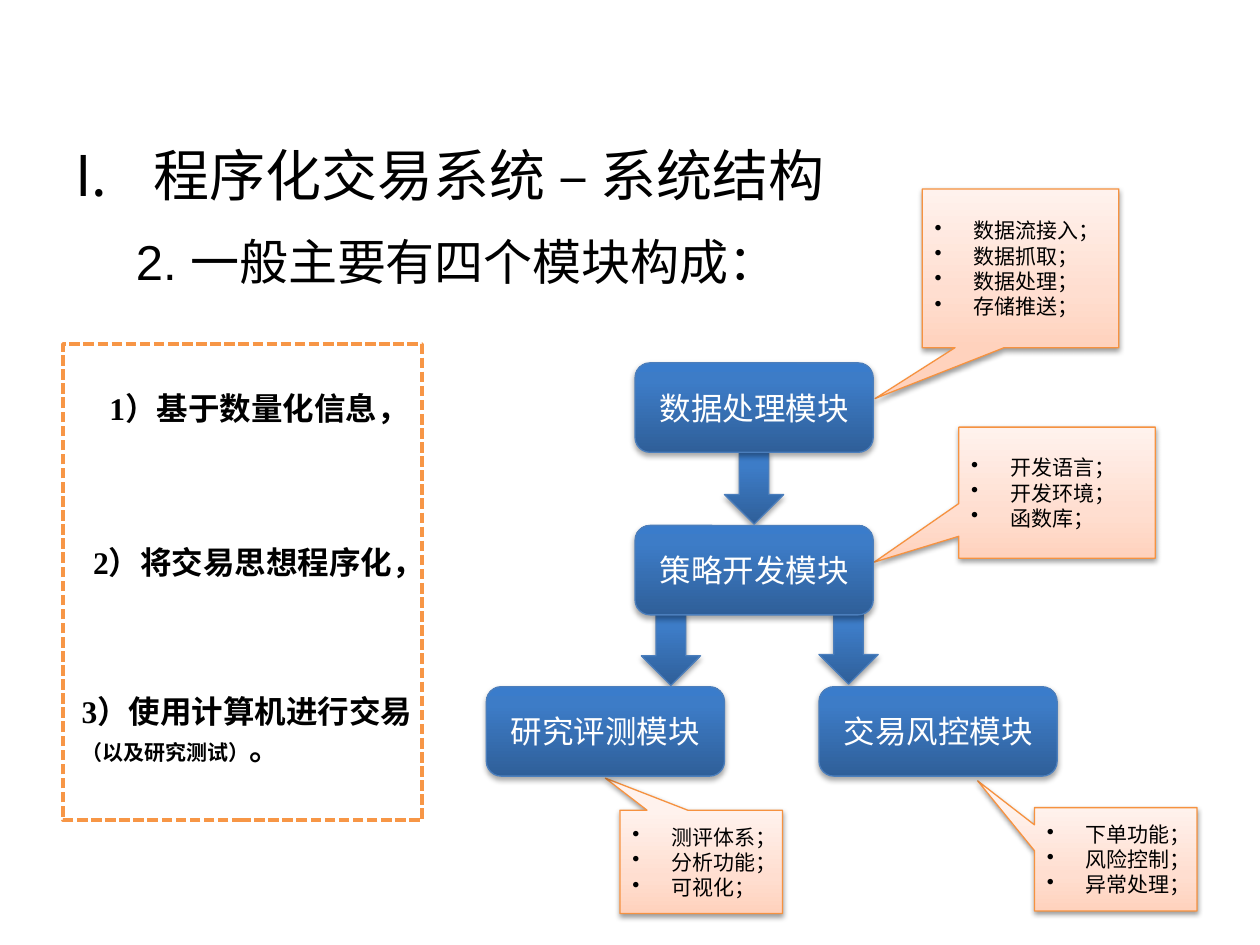
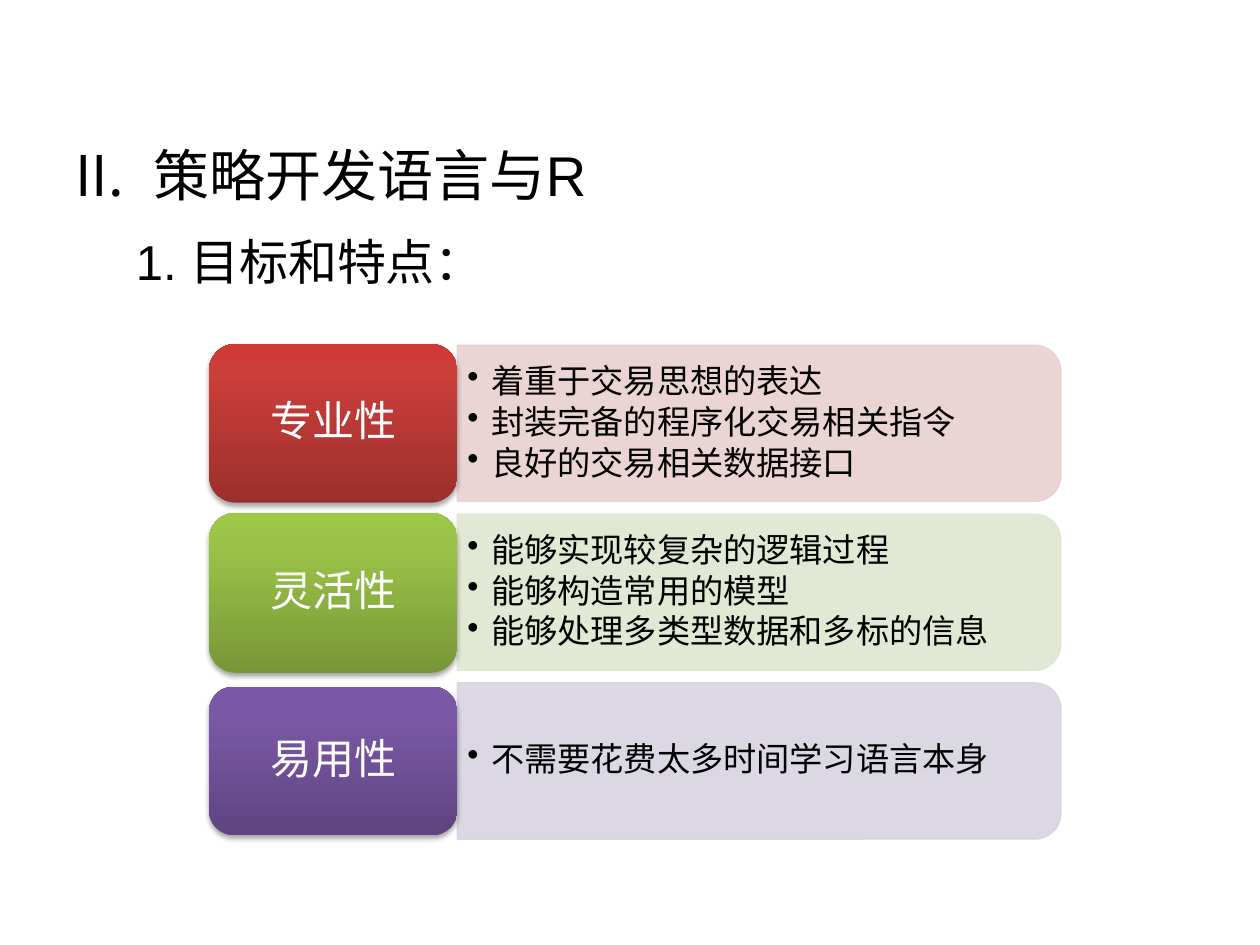
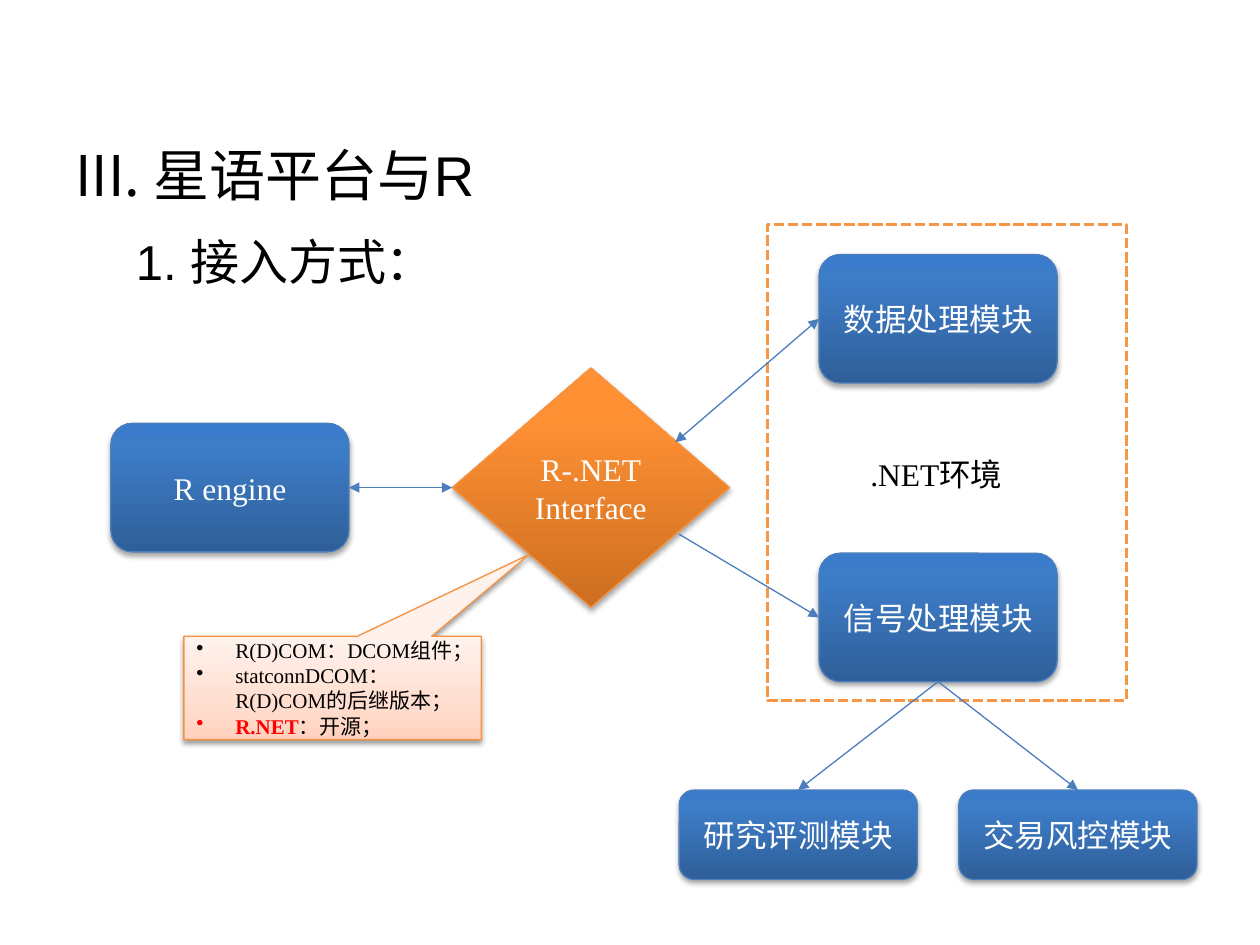
from lxml import etree
from pptx import Presentation
from pptx.dml.color import RGBColor
from pptx.enum.dml import MSO_LINE
from pptx.enum.shapes import MSO_CONNECTOR, MSO_SHAPE
from pptx.enum.text import MSO_ANCHOR, PP_ALIGN
from pptx.oxml.ns import qn
from pptx.util import Inches, Pt

ROUNDED, DIAMOND = MSO_SHAPE.ROUNDED_RECTANGLE, MSO_SHAPE.DIAMOND
RECTANGLE, DOWN_ARROW = MSO_SHAPE.RECTANGLE, MSO_SHAPE.DOWN_ARROW
CALLOUT, TAB = MSO_SHAPE.RECTANGULAR_CALLOUT, MSO_SHAPE.ROUND_2_SAME_RECTANGLE
STRAIGHT, DASHED = MSO_CONNECTOR.STRAIGHT, MSO_LINE.SQUARE_DOT
LEFT, CENTER = PP_ALIGN.LEFT, PP_ALIGN.CENTER
TOP, MIDDLE = MSO_ANCHOR.TOP, MSO_ANCHOR.MIDDLE
SITE_TOP, SITE_LEFT, SITE_BOTTOM, SITE_RIGHT = range(4)

# The slide is a grid of 100 columns by 75 rows
COLUMNS, ROWS = 100, 75
SLIDE_WIDTH, SLIDE_HEIGHT = Inches(10), Inches(7.5)

COLORS = {
    "text": "000000", "light": "FFFFFF", "accent": "FF0000",
    "blue line": "4B7EBC", "orange line": "F69240", "frame": "F79646",
    "red panel": "E8D0D0", "green panel": "DEE7D1", "purple panel": "D8D3E0",
}
# Gradient stops run from the bottom of a shape to its top
GRADIENTS = {
    "blue": [(0, "2F5F99"), (80, "3D7CC7"), (100, "3A7CCB")],
    "orange": [(0, "CC6E20"), (80, "FF9034"), (100, "FF9136")],
    "peach": [(0, "FFD2BD"), (35, "FFDED0"), (100, "FFF2ED")],
    "red": [(0, "9C2F2D"), (80, "CB3E3A"), (100, "CE3B37")],
    "green": [(0, "779737"), (80, "9BC348"), (100, "9DC746")],
    "purple": [(0, "5F4480"), (80, "7B58A6"), (100, "7C57A8")],
}
# Shadow: opacity in percent, distance in points
DEEP_SHADOW, SOFT_SHADOW = (35, 1.8), (38, 1.6)

SERIF, SANS = "Times New Roman", "Arial"
TITLE = {"name": SANS, "size": Pt(32)}
SUBTITLE = {"name": SANS, "size": Pt(28)}
BODY = {"name": SERIF, "size": Pt(18)}
STRONG = {**BODY, "bold": True}
NOTE = {"name": SERIF, "size": Pt(12)}
POINT = {"name": SERIF, "size": Pt(19)}
LABEL = {"name": SERIF, "size": Pt(24)}

MODULE_WIDTH, MODULE_HEIGHT, TALL_MODULE = 18.9, 7.1, 10.2


def across(columns):
    return round(SLIDE_WIDTH * columns / COLUMNS)


def down(rows):
    return round(SLIDE_HEIGHT * rows / ROWS)


def place(left, top, width, height):
    return across(left), down(top), across(width), down(height)


def color_of(name):
    return RGBColor.from_string(COLORS[name])


def set_all(target, values):
    for name, value in values.items():
        setattr(target, name, value)


def add_xml(parent, tag, **attributes):
    child = etree.SubElement(parent, qn(tag))
    for name, value in attributes.items():
        child.set(name, str(value))
    return child


# ---- Text ----
def add_bullet(paragraph, indent, tag, **attributes):
    properties = paragraph._p.get_or_add_pPr()
    properties.set("marL", str(across(indent)))
    properties.set("indent", str(-across(indent)))
    add_xml(properties, tag, **attributes)


def write(shape, lines, font, color="text", anchor=TOP, layout=None, bullet=0):
    """A line is a string, or a list of (text, font changes, colour) runs."""
    frame = shape.text_frame
    set_all(frame, {"word_wrap": True, "vertical_anchor": anchor})
    for index, line in enumerate(lines):
        paragraph = frame.add_paragraph() if index else frame.paragraphs[0]
        set_all(paragraph, {"alignment": LEFT, **(layout or {})})
        if bullet:
            add_bullet(paragraph, bullet, "a:buChar", char="•")
        runs = [(line, {}, color)] if isinstance(line, str) else line
        for text, changes, run_color in runs:
            run = paragraph.add_run()
            run.text = text
            set_all(run.font, {**font, **changes})
            run.font.color.rgb = color_of(run_color)


def add_text(slide, box, lines, font, **options):
    text_box = slide.shapes.add_textbox(*place(*box))
    write(text_box, lines, font, **options)
    return text_box


def add_headings(slide, number, title, subtitle):
    heading = add_text(slide, (5, 10.7, 90, 6.3), [title], TITLE, anchor=MIDDLE)
    add_bullet(heading.text_frame.paragraphs[0], 6.2, "a:buAutoNum",
               type="romanUcPeriod", startAt=number)
    add_text(slide, (9.8, 17.9, 81.9, 9.3), [subtitle], SUBTITLE,
             layout={"space_before": Pt(5.6)})


# ---- Shapes ----
def paint_gradient(shape, name):
    shape.fill.gradient()
    shape.fill.gradient_angle = 90
    stops = shape._element.spPr.find(qn("a:gradFill")).find(qn("a:gsLst"))
    for stop in list(stops):
        stops.remove(stop)
    for position, color in GRADIENTS[name]:
        stop = add_xml(stops, "a:gs", pos=position * 1000)
        add_xml(stop, "a:srgbClr", val=color)


def add_shadow(shape, opacity, distance):
    effects = shape._element.spPr.find(qn("a:effectLst"))
    shadow = add_xml(effects, "a:outerShdw", blurRad=Pt(3.1), dist=Pt(distance),
                     dir=5400000, rotWithShape=0)
    color = add_xml(shadow, "a:srgbClr", val="000000")
    add_xml(color, "a:alpha", val=opacity * 1000)


def set_line(line, color, width=0.75):
    line.color.rgb = color_of(color)
    line.width = Pt(width)


def add_plain(slide, kind, box):
    shape = slide.shapes.add_shape(kind, *place(*box))
    shape.shadow.inherit = False
    return shape


def add_glossy(slide, kind, box, gradient, line=None, shadow=DEEP_SHADOW):
    shape = add_plain(slide, kind, box)
    paint_gradient(shape, gradient)
    if line:
        set_line(shape.line, line)
    else:
        shape.line.fill.background()
    add_shadow(shape, *shadow)
    return shape


def add_module(slide, left, top, name, height=MODULE_HEIGHT):
    module = add_glossy(slide, ROUNDED, (left, top, MODULE_WIDTH, height),
                        "blue", "blue line")
    write(module, [name], BODY, "light", MIDDLE, {"alignment": CENTER})
    return module


def add_callout(slide, box, pointer, lines):
    callout = add_glossy(slide, CALLOUT, box, "peach", "orange line", SOFT_SHADOW)
    for index, share in enumerate(pointer):
        callout.adjustments[index] = share
    write(callout, lines, NOTE, anchor=MIDDLE, bullet=3.1)


def add_dashed_frame(slide, left, top):
    frame = add_plain(slide, RECTANGLE, (left, top, 28.5, 37.8))
    frame.fill.background()
    set_line(frame.line, "frame", 2)
    frame.line.dash_style = DASHED


def add_side_panel(slide, left, top, width, height, color):
    """A panel with its right corners rounded: a top-rounded shape turned by 90°."""
    box = (left + (width - height) / 2, top + (height - width) / 2, height, width)
    panel = add_plain(slide, TAB, box)
    panel.rotation = 90
    panel.fill.solid()
    panel.fill.fore_color.rgb = color_of(color)
    set_line(panel.line, color)
    for value in panel._element.spPr.iter(qn("a:srgbClr")):
        add_xml(value, "a:alpha", val=90000)


def add_arrow(slide, start, end, both_ways=False):
    """An end is a (shape, site) pair to join, or a (column, row) point."""
    joined = [not isinstance(tip[0], (int, float)) for tip in (start, end)]
    points = [(0, 0) if join else (across(tip[0]), down(tip[1]))
              for tip, join in zip((start, end), joined)]
    arrow = slide.shapes.add_connector(STRAIGHT, *points[0], *points[1])
    if joined[0]:
        arrow.begin_connect(*start)
    if joined[1]:
        arrow.end_connect(*end)
    set_line(arrow.line, "blue line")
    properties = arrow._element.spPr
    outline = properties.find(qn("a:ln"))
    if both_ways:
        add_xml(outline, "a:headEnd", type="triangle")
    add_xml(outline, "a:tailEnd", type="triangle")
    add_xml(properties, "a:effectLst")


# ---- Slides ----
def build_structure(slide):
    add_headings(slide, 1, "程序化交易系统 – 系统结构", "2. 一般主要有四个模块构成：")

    # Three principles in a dashed frame
    add_text(slide, (7.7, 30.4, 26.2, 4), ["1）基于数量化信息，"], STRONG)
    add_text(slide, (6.4, 42.6, 28.7, 4), ["2）将交易思想程序化，"], STRONG)
    add_text(slide, (5.5, 54.4, 28.7, 7.1), [
        "3）使用计算机进行交易",
        [("（以及研究测试）", {"size": Pt(12)}, "text"), ("。", {}, "text")],
    ], STRONG)
    add_dashed_frame(slide, 5, 27.3)

    # Notes on each module
    callouts = [
        ((73.2, 15, 15.6, 12.6), (-0.74, 0.82),
         ["数据流接入；", "数据抓取；", "数据处理；", "存储推送；"]),
        ((76.1, 33.9, 15.6, 10.4), (-0.93, 0.53),
         ["开发语言；", "开发环境；", "函数库；"]),
        ((49.2, 64.3, 12.9, 8.2), (-0.59, -0.81),
         ["测评体系；", "分析功能；", "可视化；"]),
        ((82.1, 64.1, 12.9, 8.2), (-0.85, -0.76),
         ["下单功能；", "风险控制；", "异常处理；"]),
    ]
    for box, pointer, lines in callouts:
        add_callout(slide, box, pointer, lines)

    # Flow of modules
    for left, top in [(57.5, 35.9), (50.9, 48.7), (65, 48.6)]:
        add_glossy(slide, DOWN_ARROW, (left, top, 4.7, 5.7), "blue", "blue line")
    for left, top, name in [(38.6, 54.5, "研究评测模块"), (65, 54.5, "交易风控模块"),
                            (50.4, 28.8, "数据处理模块"), (50.4, 41.7, "策略开发模块")]:
        add_module(slide, left, top, name)


def build_features(slide):
    add_headings(slide, 2, "策略开发语言与R", "1. 目标和特点：")
    features = [
        ("专业性", "red", 27.3, 12.6,
         ["着重于交易思想的表达", "封装完备的程序化交易相关指令", "良好的交易相关数据接口"]),
        ("灵活性", "green", 40.7, 12.7,
         ["能够实现较复杂的逻辑过程", "能够构造常用的模型", "能够处理多类型数据和多标的信息"]),
        ("易用性", "purple", 54.5, 11.8, ["不需要花费太多时间学习语言本身"]),
    ]
    insets = {"margin_left": across(0.8), "margin_right": across(0.8),
              "margin_top": down(0.4), "margin_bottom": down(0.4)}
    for row, (name, color, label_top, label_height, points) in enumerate(features):
        panel_top = 27.4 + 13.4 * row
        add_side_panel(slide, 36.3, panel_top, 47.9, 12.4, f"{color} panel")
        text_box = add_text(slide, (36.3, panel_top + 0.6, 47.3, 11.2), points, POINT,
                            anchor=MIDDLE, bullet=1.9,
                            layout={"line_spacing": 0.9, "space_after": Pt(2.85)})
        set_all(text_box.text_frame, insets)
        label = add_glossy(slide, ROUNDED, (16.6, label_top, 19.7, label_height), color)
        write(label, [name], LABEL, "light", MIDDLE,
              {"alignment": CENTER, "line_spacing": 0.9})


def build_interface(slide):
    add_dashed_frame(slide, 60.9, 17.8)
    add_headings(slide, 3, "星语平台与R", "1. 接入方式：")

    # Modules and the interface between them
    data = add_module(slide, 65, 20.2, "数据处理模块", TALL_MODULE)
    engine = add_module(slide, 8.8, 33.6, "R engine", TALL_MODULE)
    signal = add_module(slide, 65, 43.9, "信号处理模块", TALL_MODULE)
    research = add_module(slide, 53.9, 62.7, "研究评测模块")
    risk = add_module(slide, 76.1, 62.7, "交易风控模块")
    interface = add_glossy(slide, DIAMOND, (35.9, 29.2, 22, 19), "orange", "orange line")
    write(interface, ["R-.NET", "Interface"], BODY, "light", MIDDLE,
          {"alignment": CENTER})

    # Data paths
    add_arrow(slide, (data, SITE_LEFT), (53.6, 35.1), both_ways=True)
    add_arrow(slide, (engine, SITE_RIGHT), (interface, SITE_LEFT), both_ways=True)
    add_arrow(slide, (53.9, 42.4), (signal, SITE_LEFT))
    for target in (research, risk):
        add_arrow(slide, (signal, SITE_BOTTOM), (target, SITE_TOP))

    # Notes
    add_callout(slide, (14.6, 50.5, 23.6, 8.2), (0.66, -1.29), [
        "R(D)COM：DCOM组件；",
        "statconnDCOM：R(D)COM的后继版本；",
        [("R.NET", {"bold": True}, "accent"), ("：开源；", {}, "text")],
    ])
    add_text(slide, (68.1, 35.6, 12.6, 4), [".NET环境"], BODY)


def main():
    presentation = Presentation()
    set_all(presentation, {"slide_width": SLIDE_WIDTH, "slide_height": SLIDE_HEIGHT})
    blank = presentation.slide_layouts[6]
    for build in (build_structure, build_features, build_interface):
        build(presentation.slides.add_slide(blank))
    presentation.save("out.pptx")


if __name__ == "__main__":
    main()
